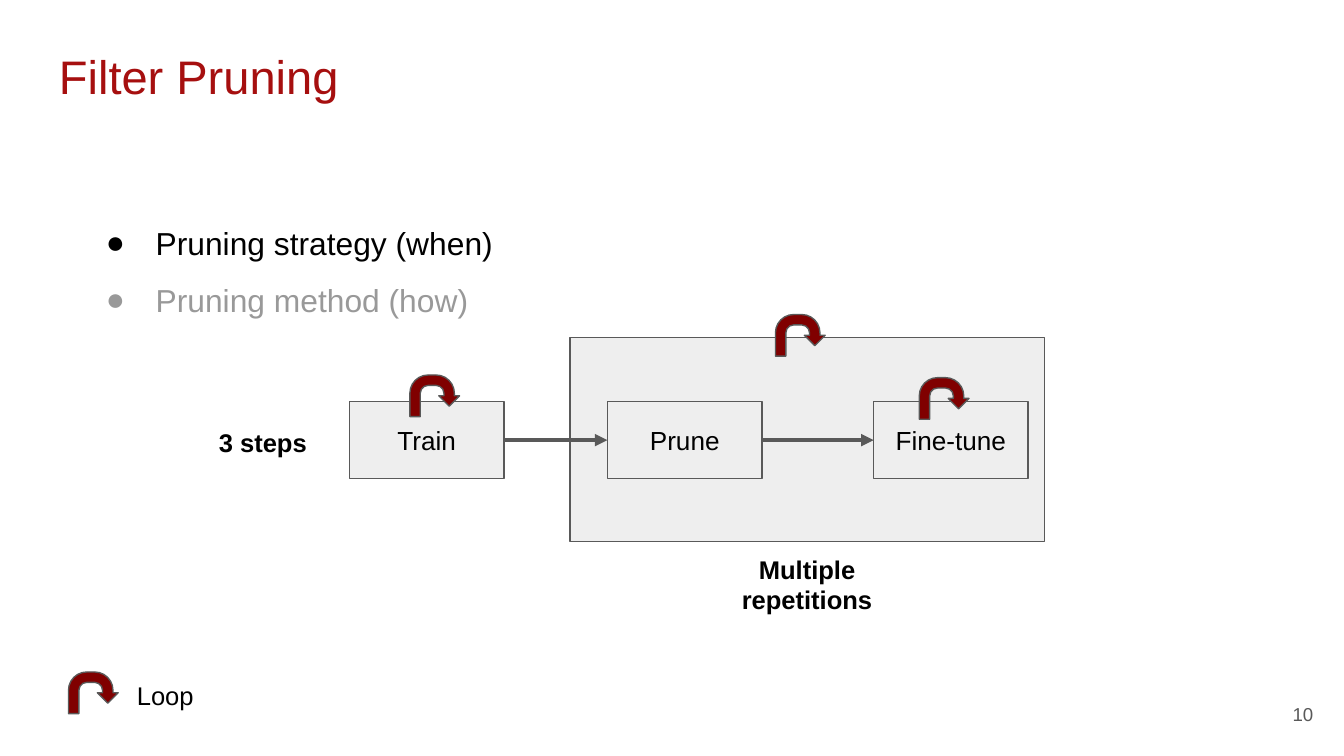
"""Build the Filter Pruning slide with its train, prune and fine-tune flow."""
from dataclasses import dataclass

from lxml import etree
from pptx import Presentation
from pptx.dml.color import RGBColor
from pptx.enum.shapes import MSO_CONNECTOR, MSO_SHAPE
from pptx.enum.text import MSO_ANCHOR, PP_ALIGN
from pptx.oxml.ns import qn
from pptx.shapes.autoshape import Shape
from pptx.slide import Slide
from pptx.text.text import TextFrame, _Paragraph
from pptx.util import Inches, Pt

RECTANGLE = MSO_SHAPE.RECTANGLE
U_TURN = MSO_SHAPE.U_TURN_ARROW
STRAIGHT = MSO_CONNECTOR.STRAIGHT
LEFT, CENTER, RIGHT = PP_ALIGN.LEFT, PP_ALIGN.CENTER, PP_ALIGN.RIGHT
TOP, MIDDLE = MSO_ANCHOR.TOP, MSO_ANCHOR.MIDDLE

FONT = "Arial"
COLORS = {
    "title": "A60F0F",
    "text": "000000",
    "muted": "999999",
    "panel": "EEEEEE",
    "outline": "595959",
    "loop": "800000",
}
SLIDE_WIDTH = Inches(10)
SLIDE_HEIGHT = SLIDE_WIDTH * 9 // 16
STEP_TOP, STEP_WIDTH, STEP_HEIGHT = 2.99, 1.15, 0.57
LOOP_WIDTH, LOOP_HEIGHT = 0.37, 0.31
LOOP_ADJUSTMENTS = (0.25, 0.25, 0.25, 0.44, 0.75)
RIGHT_SIDE, LEFT_SIDE = 3, 1


@dataclass(frozen=True)
class Box:
    left: float
    top: float
    width: float
    height: float


@dataclass(frozen=True)
class Label:
    text: str
    box: Box
    size: float = 13.7
    color: str = "text"
    bold: bool = False
    align: PP_ALIGN = LEFT
    anchor: MSO_ANCHOR = TOP


@dataclass(frozen=True)
class Step:
    name: str
    left: float


@dataclass(frozen=True)
class Topic:
    text: str
    color: str


LABELS = (
    Label("Filter Pruning", Box(0.34, 0.25, 9.32, 0.63), 25.2, "title"),
    Label("Loop", Box(0.92, 4.96, 0.77, 0.39)),
    Label("3 steps", Box(1.53, 3.08, 0.88, 0.39), bold=True),
    Label("Multiple repetitions", Box(5.33, 4.02, 1.35, 0.63), bold=True, align=CENTER),
    Label("10", Box(9.27, 5.1, 0.6, 0.43), 10, "outline", align=RIGHT, anchor=MIDDLE),
)
TOPICS = (
    Topic("Pruning strategy (when)", "text"),
    Topic("Pruning method (how)", "muted"),
)
STEPS = (Step("Train", 2.6), Step("Prune", 4.52), Step("Fine-tune", 6.5))
LOOP_POSITIONS = ((3.05, 2.79), (0.51, 5), (6.84, 2.81), (5.77, 2.34))
REPETITION_BOX = Box(4.24, 2.51, 3.53, 1.52)
TOPICS_BOX = Box(0.56, 1.42, 4.48, 0.92)


def rgb(name: str) -> RGBColor:
    return RGBColor.from_string(COLORS[name])


def inches(box: Box) -> tuple:
    return tuple(Inches(n) for n in (box.left, box.top, box.width, box.height))


def prepare_frame(frame: TextFrame, anchor: MSO_ANCHOR) -> None:
    frame.word_wrap = True
    frame.vertical_anchor = anchor
    frame.margin_left = frame.margin_right = Inches(0.1)
    frame.margin_top = frame.margin_bottom = Inches(0.1)


def add_text(paragraph: _Paragraph, text: str, size: float, color: str, bold: bool = False) -> None:
    run = paragraph.add_run()
    run.text = text
    run.font.name = FONT
    run.font.size = Pt(size)
    run.font.bold = bold
    run.font.color.rgb = rgb(color)


def add_label(slide: Slide, label: Label) -> None:
    frame = slide.shapes.add_textbox(*inches(label.box)).text_frame
    prepare_frame(frame, label.anchor)
    paragraph = frame.paragraphs[0]
    paragraph.alignment = label.align
    add_text(paragraph, label.text, label.size, label.color, label.bold)


def add_bullet(paragraph: _Paragraph, color: str) -> None:
    properties = paragraph._p.get_or_add_pPr()
    properties.set("marL", str(Inches(0.5)))
    properties.set("indent", str(Inches(-0.37)))
    bullet_color = etree.SubElement(properties, qn("a:buClr"))
    etree.SubElement(bullet_color, qn("a:srgbClr"), val=COLORS[color])
    etree.SubElement(properties, qn("a:buFont"), typeface=FONT)
    etree.SubElement(properties, qn("a:buChar"), char="●")


def add_topics(slide: Slide) -> None:
    frame = slide.shapes.add_textbox(*inches(TOPICS_BOX)).text_frame
    prepare_frame(frame, TOP)
    for index, topic in enumerate(TOPICS):
        paragraph = frame.add_paragraph() if index else frame.paragraphs[0]
        add_bullet(paragraph, topic.color)
        paragraph.line_spacing = 1.5
        add_text(paragraph, topic.text, 17, topic.color)


def add_figure(slide: Slide, kind: MSO_SHAPE, box: Box, fill: str) -> Shape:
    figure = slide.shapes.add_shape(kind, *inches(box))
    figure.shadow.inherit = False
    figure.fill.solid()
    figure.fill.fore_color.rgb = rgb(fill)
    figure.line.color.rgb = rgb("outline")
    figure.line.width = Pt(0.75)
    return figure


def add_step(slide: Slide, step: Step) -> Shape:
    box = Box(step.left, STEP_TOP, STEP_WIDTH, STEP_HEIGHT)
    figure = add_figure(slide, RECTANGLE, box, "panel")
    prepare_frame(figure.text_frame, MIDDLE)
    paragraph = figure.text_frame.paragraphs[0]
    paragraph.alignment = CENTER
    add_text(paragraph, step.name, 14, "text")
    return figure


def add_arrow(slide: Slide, source: Shape, target: Shape) -> None:
    arrow = slide.shapes.add_connector(STRAIGHT, 0, 0, 0, 0)
    arrow.begin_connect(source, RIGHT_SIDE)
    arrow.end_connect(target, LEFT_SIDE)
    arrow.line.color.rgb = rgb("outline")
    arrow.line.width = Pt(2.25)
    etree.SubElement(arrow.line._get_or_add_ln(), qn("a:tailEnd"), type="triangle")
    etree.SubElement(arrow._element.spPr, qn("a:effectLst"))


def add_loop(slide: Slide, left: float, top: float) -> None:
    loop = add_figure(slide, U_TURN, Box(left, top, LOOP_WIDTH, LOOP_HEIGHT), "loop")
    for index, value in enumerate(LOOP_ADJUSTMENTS):
        loop.adjustments[index] = value


def main() -> None:
    presentation = Presentation()
    presentation.slide_width = SLIDE_WIDTH
    presentation.slide_height = SLIDE_HEIGHT
    slide = presentation.slides.add_slide(presentation.slide_layouts[6])

    add_figure(slide, RECTANGLE, REPETITION_BOX, "panel")
    add_topics(slide)
    steps = [add_step(slide, step) for step in STEPS]
    for source, target in zip(steps, steps[1:]):
        add_arrow(slide, source, target)
    for left, top in LOOP_POSITIONS:
        add_loop(slide, left, top)
    for label in LABELS:
        add_label(slide, label)
    presentation.save("out.pptx")


if __name__ == "__main__":
    main()
